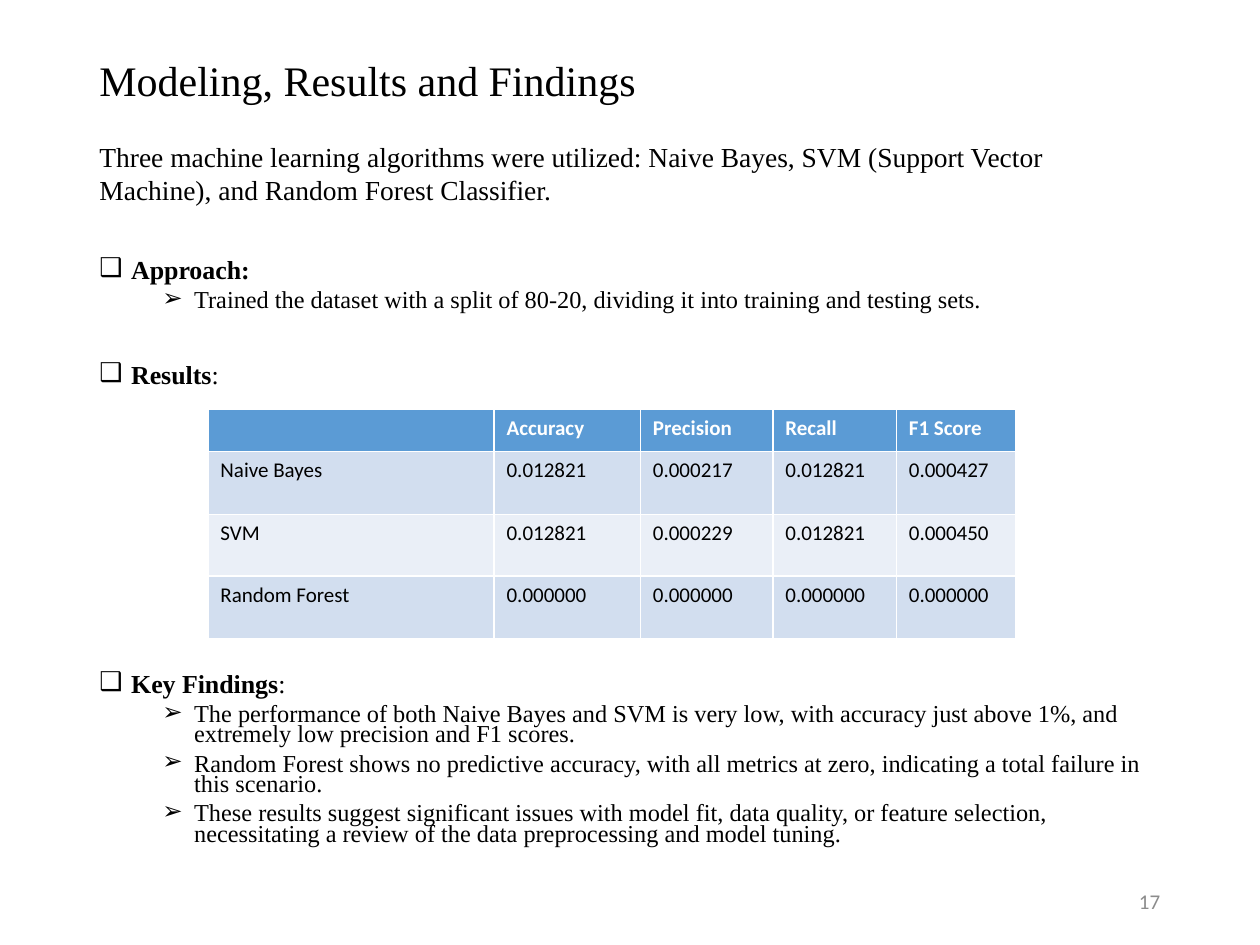
from lxml import etree
from pptx import Presentation
from pptx.dml.color import RGBColor
from pptx.enum.text import MSO_ANCHOR, MSO_AUTO_SIZE, PP_ALIGN
from pptx.oxml.ns import qn
from pptx.util import Cm, Pt

MIDDLE, TOP = MSO_ANCHOR.MIDDLE, MSO_ANCHOR.TOP
RIGHT = PP_ALIGN.RIGHT
LEFT = PP_ALIGN.LEFT
NO_FIT = MSO_AUTO_SIZE.NONE

THEME = {
    "serif": "Times New Roman", "sans": "Calibri",
    "black": "000000", "white": "FFFFFF", "grey": "8C8C8C",
    "header": "5B9BD5", "bands": ("D2DEEF", "EAEFF7"),
    "title": 24, "intro": 15.7, "heading": 14.8, "point": 13.9, "small": 12,
}

TITLE = "Modeling, Results and Findings"
PAGE = "17"
BODY = [
    ("intro", 0, [("Three machine learning algorithms were utilized: Naive Bayes, SVM "
                   "(Support Vector Machine), and Random Forest Classifier.", False)]),
    ("heading", 32, [("Approach:", True)]),
    ("point", 5, [("Trained the dataset with a split of 80-20, dividing it into "
                   "training and testing sets.", False)]),
    ("heading", 31, [("Results", True), (":", False)]),
    ("heading", 164, [("Key Findings", True), (":", False)]),
    ("point", 5, [("The performance of both Naive Bayes and SVM is very low, with accuracy "
                   "just above 1%, and extremely low precision and F1 scores.", False)]),
    ("point", 5, [("Random Forest shows no predictive accuracy, with all metrics at zero, "
                   "indicating a total failure in this scenario.", False)]),
    ("point", 5, [("These results suggest significant issues with model fit, data quality, or "
                   "feature selection, necessitating a review of the data preprocessing and "
                   "model tuning.", False)]),
]
LEVELS = {
    "intro": {"level": 0, "margin": 0, "hang": 0, "bullet": None, "spacing": 1.0},
    "heading": {"level": 0, "margin": 0.64, "hang": 0.64, "bullet": "❑", "spacing": 0.7},
    "point": {"level": 1, "margin": 1.91, "hang": 0.64, "bullet": "➢", "spacing": 0.7},
}
SCORES = [
    ("", "Accuracy", "Precision", "Recall", "F1 Score"),
    ("Naive Bayes", "0.012821", "0.000217", "0.012821", "0.000427"),
    ("SVM", "0.012821", "0.000229", "0.012821", "0.000450"),
    ("Random Forest", "0.000000", "0.000000", "0.000000", "0.000000"),
]
COL_WIDTHS = (5.77, 2.95, 2.67, 2.49, 2.41)
ROW_HEIGHTS = (0.84, 1.27, 1.24, 1.27)


def place(sp, left, top, width, height, anchor):
    sp.left, sp.top, sp.width, sp.height = Cm(left), Cm(top), Cm(width), Cm(height)
    tf = sp.text_frame
    for name, value in {"word_wrap": True, "auto_size": NO_FIT,
                        "vertical_anchor": anchor}.items():
        setattr(tf, name, value)
    return tf


def add_run(p, text, size, font="serif", color="black", bold=False):
    r = p.add_run()
    r.text = text
    for name, value in {"name": THEME[font], "size": Pt(THEME[size]), "bold": bold}.items():
        setattr(r.font, name, value)
    r.font.color.rgb = RGBColor.from_string(THEME[color])


def set_bullet(p, margin, hang, bullet):
    pPr = p._p.get_or_add_pPr()
    pPr.set("marL", str(Cm(margin)))
    pPr.set("indent", str(-Cm(hang)))
    if bullet:
        etree.SubElement(pPr, qn("a:buChar")).set("char", bullet)
    else:
        etree.SubElement(pPr, qn("a:buNone"))


def fill_body(tf):
    for i, (kind, before, runs) in enumerate(BODY):
        p = tf.paragraphs[0] if i == 0 else tf.add_paragraph()
        style = LEVELS[kind]
        for name, value in {"level": style["level"], "line_spacing": style["spacing"],
                            "space_before": Pt(before), "alignment": LEFT}.items():
            setattr(p, name, value)
        set_bullet(p, style["margin"], style["hang"], style["bullet"])
        for text, bold in runs:
            add_run(p, text, kind, bold=bold)


def add_scores(s, left, top):
    table = s.shapes.add_table(len(SCORES), len(COL_WIDTHS), Cm(left), Cm(top),
                               Cm(sum(COL_WIDTHS)), Cm(sum(ROW_HEIGHTS))).table
    for col, width in zip(table.columns, COL_WIDTHS):
        col.width = Cm(width)
    for i, (row, height) in enumerate(zip(table.rows, ROW_HEIGHTS)):
        row.height = Cm(height)
        header = i == 0
        fill = THEME["header"] if header else THEME["bands"][(i - 1) % 2]
        for cell, text in zip(row.cells, SCORES[i]):
            cell.fill.solid()
            cell.fill.fore_color.rgb = RGBColor.from_string(fill)
            p = cell.text_frame.paragraphs[0]
            if text:
                add_run(p, text, "small", "sans", "white" if header else "black", header)
            else:
                p._p.get_or_add_endParaRPr().set("sz", str(THEME["small"] * 100))


def main():
    prs = Presentation()
    prs.slide_width, prs.slide_height = Cm(25.4), Cm(19.05)
    s = prs.slides.add_slide(prs.slide_layouts[1])

    fill_body(place(s.placeholders[1], 1.75, 2.69, 21.89, 15.37, TOP))

    p = place(s.shapes.title, 1.75, 1.02, 16.43, 1.32, MIDDLE).paragraphs[0]
    p.alignment, p.line_spacing = LEFT, 0.9
    add_run(p, TITLE, "title")

    number = s.shapes.add_textbox(0, 0, 0, 0)
    p = place(number, 17.93, 17.65, 5.71, 1.02, MIDDLE).paragraphs[0]
    p.alignment = RIGHT
    add_run(p, PAGE, "small", "sans", "grey")

    add_scores(s, 4.19, 8.26)
    prs.save("out.pptx")


if __name__ == "__main__":
    main()
